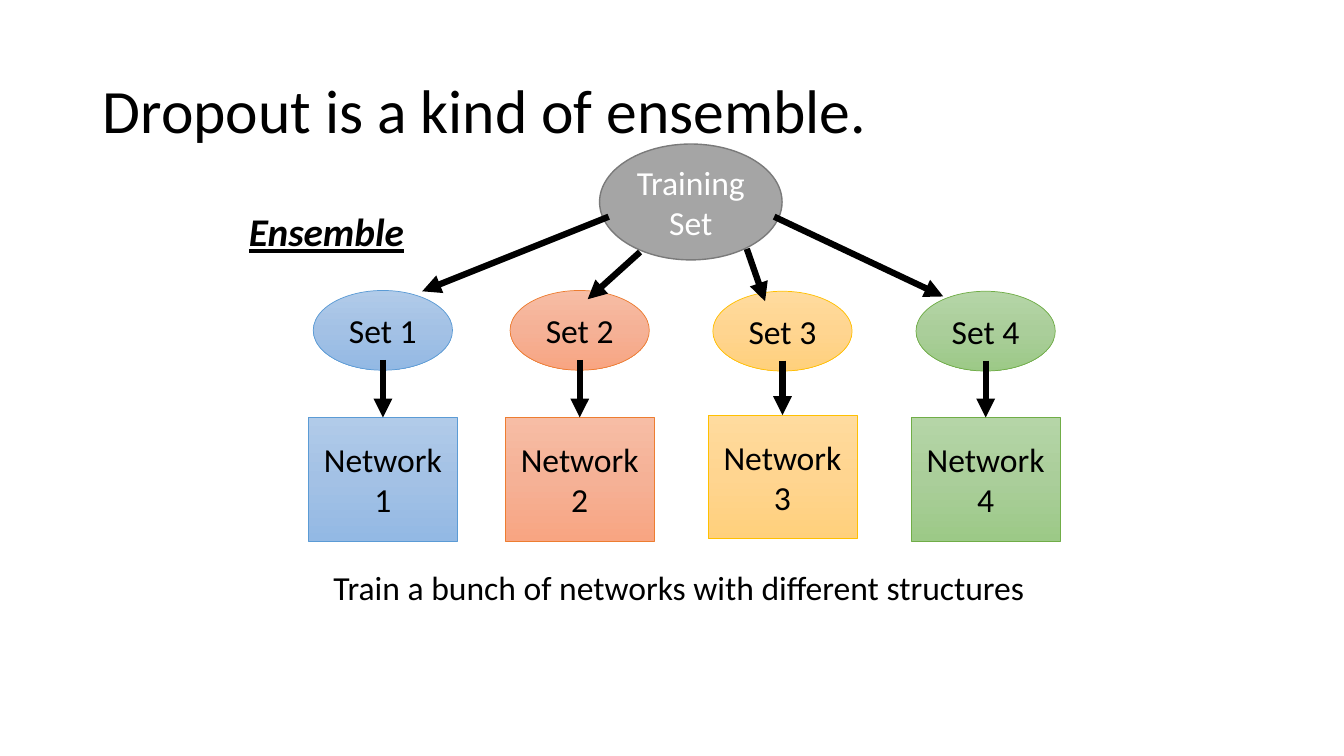
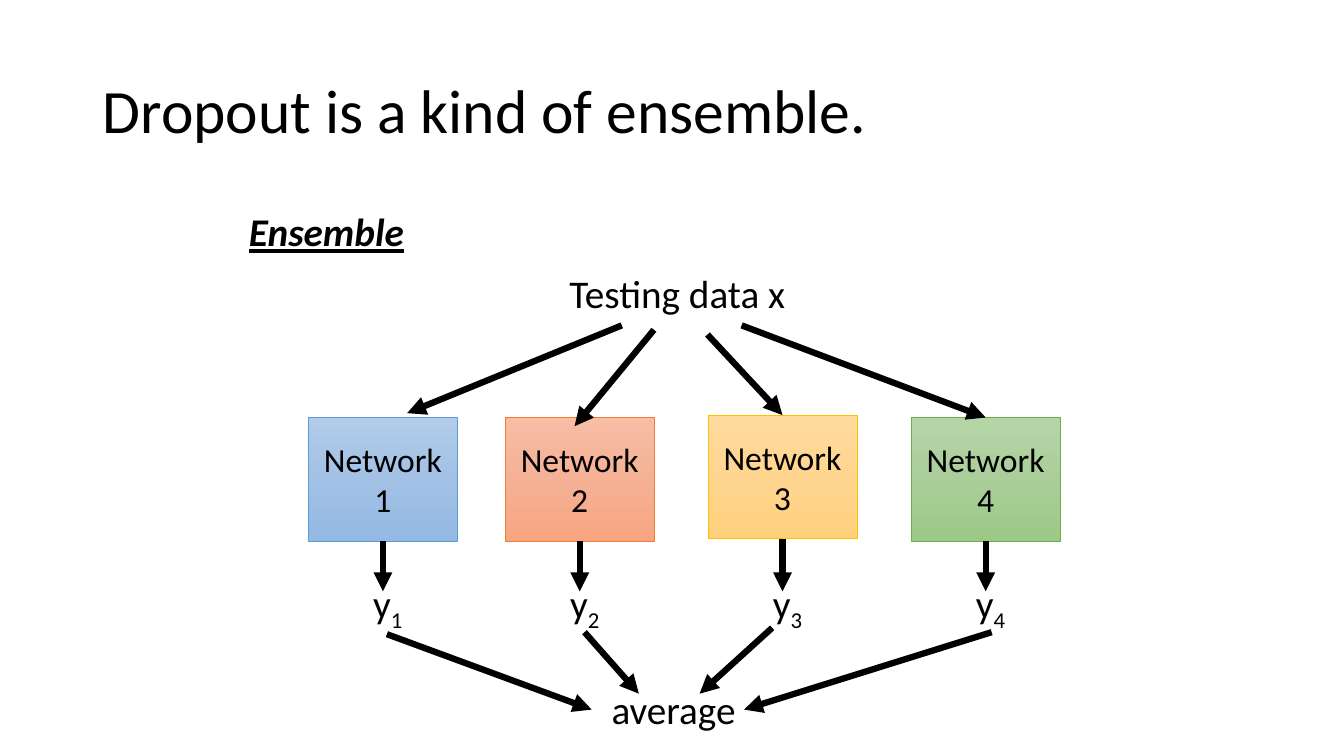
from copy import deepcopy
from dataclasses import dataclass
from typing import NamedTuple

from lxml.etree import SubElement
from pptx import Presentation
from pptx.dml.color import RGBColor
from pptx.enum.shapes import MSO_CONNECTOR as Connector, MSO_SHAPE as Preset
from pptx.enum.text import MSO_ANCHOR as Anchor, PP_ALIGN as Align
from pptx.oxml.ns import qn
from pptx.shapes.autoshape import Shape
from pptx.slide import Slide
from pptx.util import Cm, Pt

FONT = "Calibri"
BLACK, WHITE = "000000", "FFFFFF"
GRAY, DARK_GRAY = "A5A5A5", "7A7A7A"
TITLE = "Dropout is a kind of ensemble."

NETWORK_WIDTH, NETWORK_HEIGHT = 3.76, 3.12
SET_WIDTH, SET_HEIGHT = 3.51, 2.01
TOP_SIDE, BOTTOM_SIDE = 0, 2


class Box(NamedTuple):
    """Position and size in centimetres."""
    left: float
    top: float
    width: float
    height: float


class Point(NamedTuple):
    """Place in centimetres."""
    x: float
    y: float


class Site(NamedTuple):
    """Middle of the top or bottom side of a shape."""
    shape: Shape
    side: int


@dataclass(frozen=True)
class Branch:
    """One member of the ensemble, drawn as a column."""
    number: int
    center: float
    set_top: float
    network_top: float
    gradient: tuple[str, str, str]
    outline: str


BRANCHES = (
    Branch(1, 9.65, 7.32, 10.52, ("B1CBE9", "A3C1E5", "93B9E4"), "5B9BD5"),
    Branch(2, 14.61, 7.32, 10.52, ("F7BDA5", "F5B196", "F8A582"), "ED7D31"),
    Branch(3, 19.72, 7.34, 10.46, ("FFDB9E", "FFD590", "FFD07C"), "FFC000"),
    Branch(4, 24.84, 7.34, 10.52, ("B5D5A7", "AACE9A", "9CC987"), "70AD47"),
)


def color(value: str) -> RGBColor:
    return RGBColor.from_string(value)


def write_text(shape: Shape, text: str, size: float, text_color: str = BLACK,
               align: Align = Align.CENTER, emphasized: bool = False) -> None:
    text_frame = shape.text_frame
    text_frame.word_wrap = True
    text_frame.text = text
    for paragraph in text_frame.paragraphs:
        paragraph.alignment = align
        for run in paragraph.runs:
            font = run.font
            font.name, font.size = FONT, Pt(size)
            font.color.rgb = color(text_color)
            if emphasized:
                font.bold = font.italic = font.underline = True


def add_label(slide: Slide, box: Box, text: str, size: float = 28,
              align: Align = Align.LEFT, emphasized: bool = False) -> Shape:
    label = slide.shapes.add_textbox(*map(Cm, box))
    write_text(label, text, size, align=align, emphasized=emphasized)
    return label


def add_node(slide: Slide, preset: Preset, box: Box, text: str, outline: str,
             line_width: float = 0.5, text_color: str = BLACK) -> Shape:
    node = slide.shapes.add_shape(preset, *map(Cm, box))
    node.shadow.inherit = False
    node.line.color.rgb = color(outline)
    node.line.width = Pt(line_width)
    node.text_frame.vertical_anchor = Anchor.MIDDLE
    write_text(node, text, 24, text_color)
    return node


def fill_gradient(shape: Shape, colors: tuple[str, str, str]) -> None:
    """Fill from top to bottom with three evenly spaced colours."""
    shape.fill.gradient()
    shape.fill.gradient_angle = 270
    stop_list = next(shape.element.iter(qn("a:gsLst")))
    stop_list.insert(1, deepcopy(stop_list[0]))
    for index, (stop, value) in enumerate(zip(shape.fill.gradient_stops, colors)):
        stop.position = index / 2
        stop.color.rgb = color(value)


def locate(end: Point | Site) -> tuple[int, int]:
    if isinstance(end, Point):
        return Cm(end.x), Cm(end.y)
    shape, side = end
    drop = shape.height if side == BOTTOM_SIDE else 0
    return shape.left + shape.width // 2, shape.top + drop


def add_arrow(slide: Slide, start: Point | Site, end: Point | Site) -> None:
    arrow = slide.shapes.add_connector(
        Connector.STRAIGHT, *locate(start), *locate(end))
    if isinstance(start, Site):
        arrow.begin_connect(start.shape, start.side)
    if isinstance(end, Site):
        arrow.end_connect(end.shape, end.side)
    arrow.line.color.rgb = color(BLACK)
    arrow.line.width = Pt(4.5)
    properties = arrow.element.spPr
    SubElement(properties.find(qn("a:ln")), qn("a:tailEnd"), type="triangle")
    SubElement(properties, qn("a:effectLst"))


def add_base_slide(presentation: Presentation) -> tuple[Slide, list[Shape]]:
    """Add a slide with the title, heading and networks, and return both."""
    slide = presentation.slides.add_slide(presentation.slide_layouts[6])
    title = add_label(slide, Box(2.34, 1.02, 29.21, 3.68), TITLE, 44)
    title.text_frame.vertical_anchor = Anchor.MIDDLE
    title.text_frame.paragraphs[0].line_spacing = 0.9
    add_label(slide, Box(6.02, 5.11, 6.17, 1.45), "Ensemble", emphasized=True)

    networks = []
    for branch in BRANCHES:
        box = Box(branch.center - NETWORK_WIDTH / 2, branch.network_top,
                  NETWORK_WIDTH, NETWORK_HEIGHT)
        network = add_node(slide, Preset.RECTANGLE, box,
                           f"Network\n{branch.number}", branch.outline)
        fill_gradient(network, branch.gradient)
        networks.append(network)
    return slide, networks


def add_training_slide(presentation: Presentation) -> None:
    slide, networks = add_base_slide(presentation)
    add_label(slide, Box(8.15, 14.17, 19.41, 1.27),
              "Train a bunch of networks with different structures", 24)
    training_set = add_node(slide, Preset.OVAL, Box(15.11, 3.63, 4.6, 2.92),
                            "Training Set", DARK_GRAY, 1, WHITE)
    training_set.fill.solid()
    training_set.fill.fore_color.rgb = color(GRAY)

    for branch in BRANCHES:
        box = Box(branch.center - SET_WIDTH / 2, branch.set_top,
                  SET_WIDTH, SET_HEIGHT)
        subset = add_node(slide, Preset.OVAL, box, f"Set {branch.number}",
                          branch.outline)
        fill_gradient(subset, branch.gradient)

    splits = (
        (Point(15.34, 5.46), Point(10.64, 7.34)),
        (Point(16.13, 6.35), Point(14.81, 7.54)),
        (Point(18.82, 6.27), Point(19.28, 7.59)),
        (Point(19.51, 5.46), Point(23.77, 7.47)),
    )
    for start, end in splits:
        add_arrow(slide, start, end)
    for branch, network in zip(BRANCHES, networks):
        add_arrow(slide, Point(branch.center, branch.set_top + 1.75),
                  Site(network, TOP_SIDE))


def add_output(slide: Slide, branch: Branch) -> None:
    """Write y with the number of the branch as its subscript."""
    output = add_label(slide, Box(branch.center - 0.93, 14.48, 2.11, 1.45),
                       "y", align=Align.CENTER)
    run = output.text_frame.paragraphs[0].add_run()
    run.text = str(branch.number)
    run.font.name, run.font.size = FONT, Pt(28)
    run.font.color.rgb = color(BLACK)
    *_, properties = output.element.iter(qn("a:rPr"))
    properties.set("baseline", "-25000")


def add_testing_slide(presentation: Presentation) -> None:
    slide, networks = add_base_slide(presentation)
    add_label(slide, Box(14.1, 6.65, 6.83, 1.45), "Testing data x")
    add_label(slide, Box(13.56, 17.15, 6.83, 1.45), "average",
              align=Align.CENTER)

    for branch, network in zip(BRANCHES, networks):
        add_output(slide, branch)
        add_arrow(slide, Site(network, BOTTOM_SIDE), Point(branch.center, 14.9))

    inputs = (
        (Point(15.67, 8.2), Point(10.26, 10.41)),
        (Point(16.48, 8.31), Point(14.48, 10.74)),
        (Point(17.83, 8.43), Site(networks[2], TOP_SIDE)),
        (Point(18.69, 8.2), Site(networks[3], TOP_SIDE)),
    )
    merges = (
        (Point(9.75, 15.98), Point(14.91, 17.88)),
        (Point(14.73, 15.93), Point(16.1, 17.48)),
        (Point(19.46, 15.82), Point(17.63, 17.48)),
        (Point(24.99, 15.93), Point(18.75, 17.88)),
    )
    for start, end in inputs + merges:
        add_arrow(slide, start, end)


def main() -> None:
    presentation = Presentation()
    presentation.slide_width = Cm(33.87)
    presentation.slide_height = Cm(19.05)
    add_training_slide(presentation)
    add_testing_slide(presentation)
    presentation.save("out.pptx")


if __name__ == "__main__":
    main()
